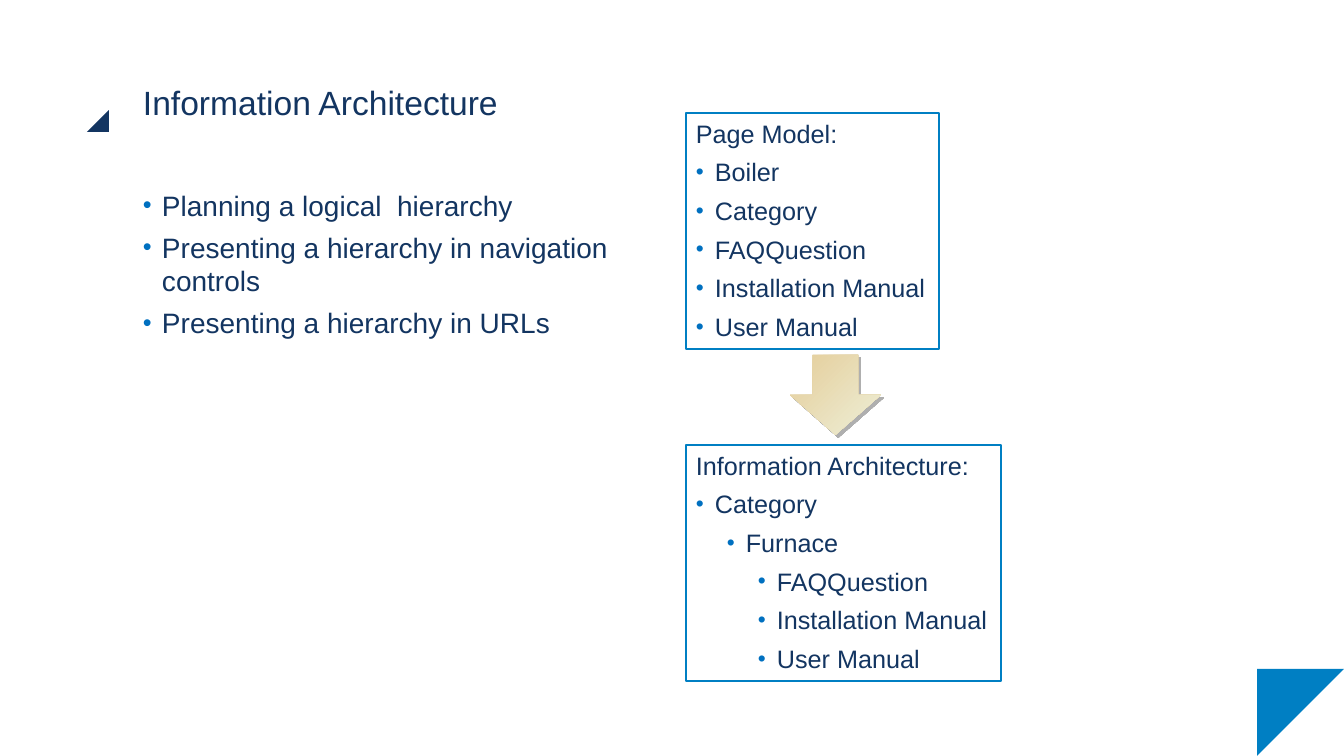
from lxml import etree
from pptx import Presentation
from pptx.dml.color import RGBColor
from pptx.enum.shapes import MSO_SHAPE
from pptx.enum.text import MSO_ANCHOR, MSO_AUTO_SIZE, PP_ALIGN
from pptx.oxml.ns import qn
from pptx.util import Pt

TRIANGLE = MSO_SHAPE.RIGHT_TRIANGLE
RECTANGLE = MSO_SHAPE.RECTANGLE
DOWN_ARROW = MSO_SHAPE.DOWN_ARROW
TOP = MSO_ANCHOR.TOP
LEFT = PP_ALIGN.LEFT
FIT_SHAPE = MSO_AUTO_SIZE.SHAPE_TO_FIT_TEXT

NAVY = RGBColor(0x13, 0x35, 0x61)
BLUE = RGBColor(0x00, 0x7F, 0xC3)
BULLET = RGBColor(0x00, 0x70, 0xC0)
WHITE = RGBColor(0xFF, 0xFF, 0xFF)
SAND = RGBColor(0xE4, 0xCD, 0x9A)
CREAM = RGBColor(0xEE, 0xEF, 0xD7)
SHADOW = RGBColor(0xAF, 0xAF, 0xAF)

FONT = "Arial"
EMU_PER_PX = 914400 / 100.8
HANGING = 19
LEVEL_INDENTS = {0: 19, 2: 50, 4: 81}

TOPICS = [
    (0, "Planning a logical  hierarchy"),
    (0, "Presenting a hierarchy in navigation controls"),
    (0, "Presenting a hierarchy in URLs"),
]
PAGE_MODEL = [
    (None, "Page Model:"),
    (0, "Boiler"),
    (0, "Category"),
    (0, "FAQQuestion"),
    (0, "Installation Manual"),
    (0, "User Manual"),
]
ARCHITECTURE = [
    (None, "Information Architecture:"),
    (0, "Category"),
    (2, "Furnace"),
    (4, "FAQQuestion"),
    (4, "Installation Manual"),
    (4, "User Manual"),
]


def px(*lengths):
    return [round(length * EMU_PER_PX) for length in lengths]


def write(paragraph, text, size=18, level=None, spacing=None):
    paragraph.alignment = LEFT
    paragraph.line_spacing = spacing
    run = paragraph.add_run()
    run.text = text
    run.font.name = FONT
    run.font.size = Pt(size)
    run.font.color.rgb = NAVY
    if level is not None:
        paragraph.level = level
        paragraph.space_before = Pt(6)
        add_bullet(paragraph, LEVEL_INDENTS[level])


def add_bullet(paragraph, indent):
    properties = paragraph._p.get_or_add_pPr()
    margin, hanging = px(indent, HANGING)
    properties.set("marL", str(margin))
    properties.set("indent", str(-hanging))
    color = etree.SubElement(properties, qn("a:buClr"))
    etree.SubElement(color, qn("a:srgbClr"), val=str(BULLET))
    etree.SubElement(properties, qn("a:buSzPct"), val="90000")
    etree.SubElement(properties, qn("a:buFont"), typeface=FONT)
    etree.SubElement(properties, qn("a:buChar"), char="•")


class SlideBuilder:
    """Draws styled elements on one slide, measured in px."""

    def __init__(self, width, height):
        self.presentation = Presentation()
        self.presentation.slide_width, self.presentation.slide_height = px(width, height)
        self.slide = self.presentation.slides.add_slide(self.presentation.slide_layouts[6])

    def shape(self, kind, left, top, width, height):
        shape = self.slide.shapes.add_shape(kind, *px(left, top, width, height))
        shape.shadow.inherit = False
        shape.line.fill.background()
        return shape

    def triangle(self, left, top, side, color, rotation):
        shape = self.shape(TRIANGLE, left, top, side, side)
        shape.rotation = rotation
        shape.fill.solid()
        shape.fill.fore_color.rgb = color

    def fill_text(self, frame, lines, **style):
        frame.vertical_anchor = TOP
        for index, (level, text) in enumerate(lines):
            paragraph = frame.add_paragraph() if index else frame.paragraphs[0]
            write(paragraph, text, level=level, **style)

    def text(self, left, top, width, height, lines, **style):
        frame = self.slide.shapes.add_textbox(*px(left, top, width, height)).text_frame
        frame.word_wrap = True
        frame.margin_left = frame.margin_right = 0
        frame.margin_top = frame.margin_bottom = 0
        self.fill_text(frame, lines, **style)

    def panel(self, left, top, width, height, lines):
        shape = self.shape(RECTANGLE, left, top, width, height)
        shape.fill.solid()
        shape.fill.fore_color.rgb = WHITE
        shape.line.color.rgb = BLUE
        shape.line.width = Pt(1)
        shape.text_frame.word_wrap = False
        shape.text_frame.auto_size = FIT_SHAPE
        self.fill_text(shape.text_frame, lines)

    def arrow(self, left, top, width, height):
        shape = self.shape(DOWN_ARROW, left, top, width, height)
        shape.fill.gradient()
        shape.fill.gradient_angle = 315
        for stop, color in zip(shape.fill.gradient_stops, (SAND, CREAM)):
            stop.color.rgb = color
        effects = shape._element.spPr.find(qn("a:effectLst"))
        shadow = etree.SubElement(effects, qn("a:outerShdw"), dist=str(Pt(2.8)),
                                  dir="2700000", algn="ctr", rotWithShape="0")
        etree.SubElement(shadow, qn("a:srgbClr"), val=str(SHADOW))


def main():
    builder = SlideBuilder(1344, 756)
    builder.triangle(87, 110, 22, NAVY, rotation=270)
    builder.triangle(1257, 669, 87, BLUE, rotation=90)
    builder.text(143, 80, 1088, 143, [(None, "Information Architecture")], size=24, spacing=1.05)
    builder.text(143, 188, 505, 436, TOPICS, size=20)
    builder.panel(686, 113, 253, 236, PAGE_MODEL)
    builder.panel(686, 445, 315, 236, ARCHITECTURE)
    builder.arrow(790, 355, 91, 80)
    builder.presentation.save("out.pptx")


if __name__ == "__main__":
    main()
